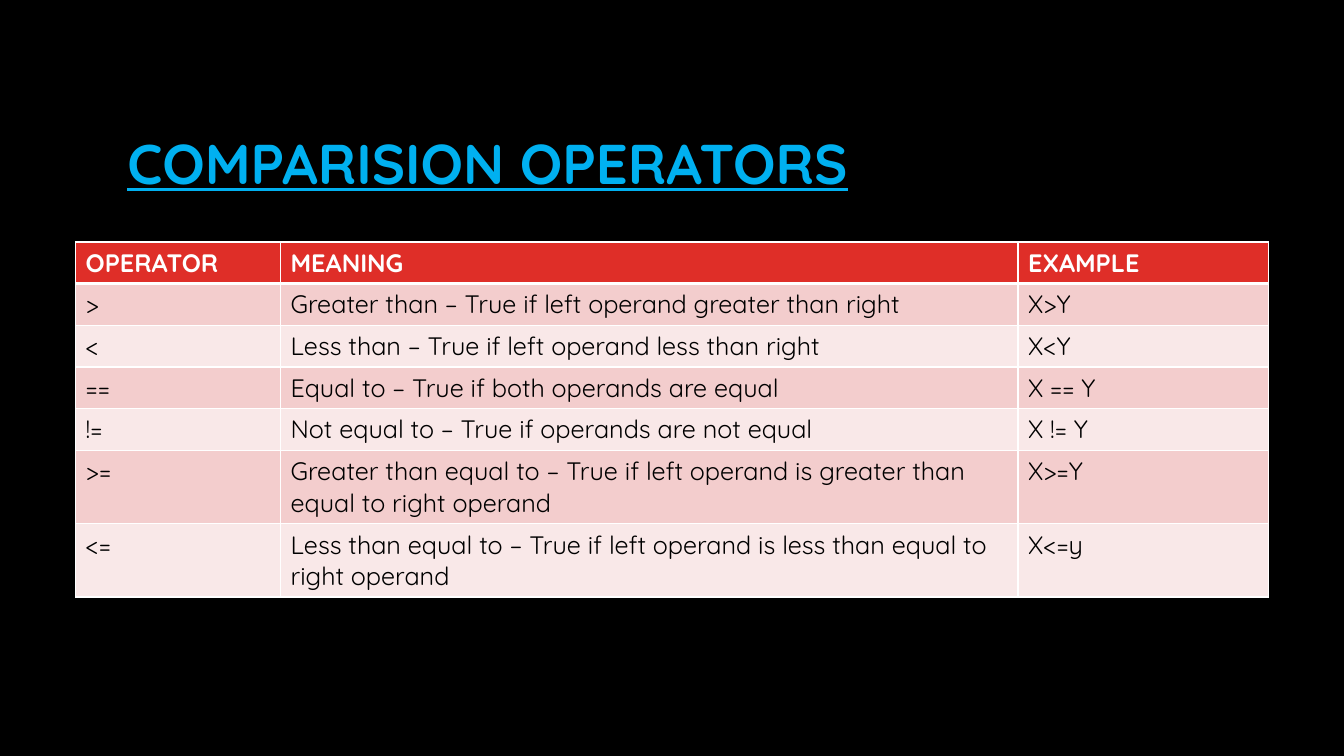
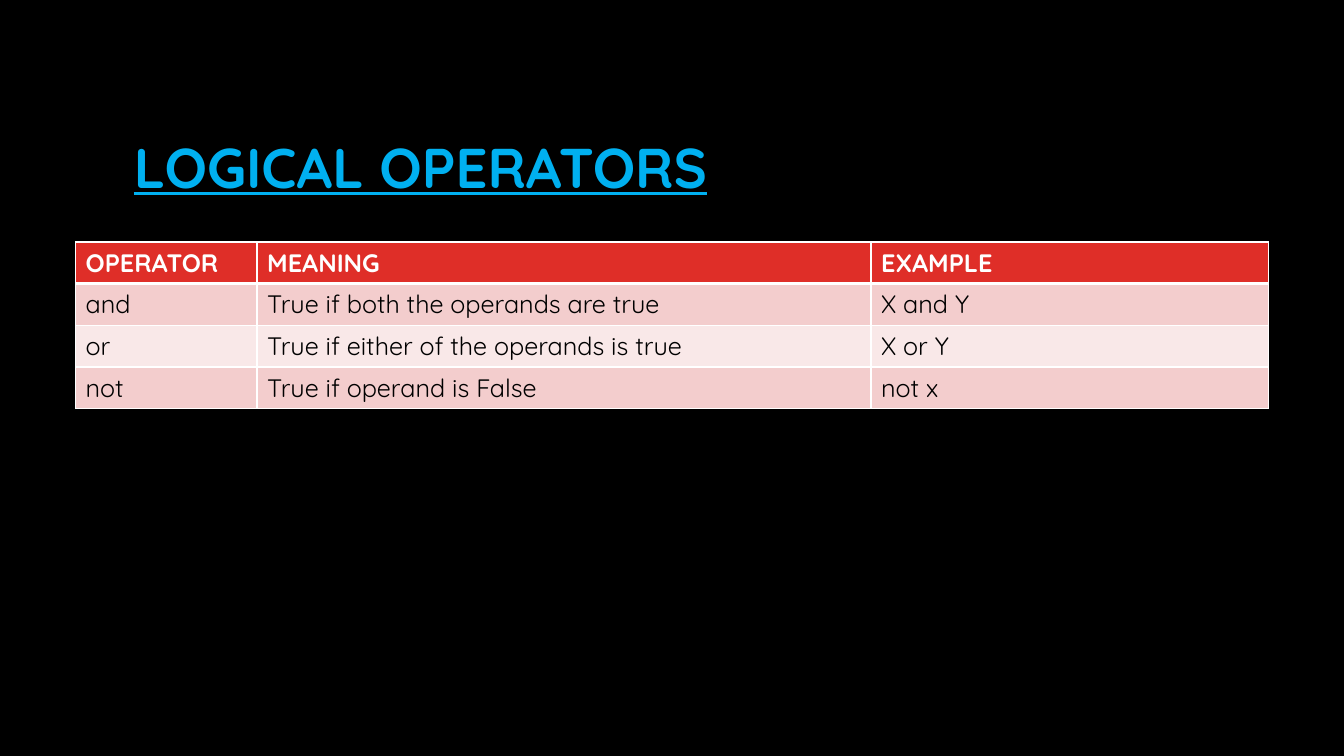
from dataclasses import dataclass

from lxml.etree import SubElement
from pptx import Presentation
from pptx.dml.color import RGBColor as Color
from pptx.enum.text import MSO_ANCHOR as Anchor, MSO_AUTO_SIZE as AutoSize, PP_ALIGN as Align
from pptx.oxml.ns import qn
from pptx.util import Inches, Pt


@dataclass(frozen=True)
class Theme:
    """Colours, type and measures that the slides share."""
    font: str = "Quicksand"
    title_size: int = 40
    table_size: int = 18
    backdrop: str = "000000"
    title: str = "00B0F0"
    header: str = "DF2E28"
    header_text: str = "FFFFFF"
    body_text: str = "000000"
    bands: tuple = ("F3CDCD", "F9E8E8")
    border: str = "FFFFFF"
    thin: int = 1
    thick: int = 3


def put_text(frame, text, *, font, size, color, bold=False, underline=False,
             align=Align.LEFT, spacing=1.0):
    """Write one formatted paragraph into a text frame."""
    para = frame.paragraphs[0]
    para.alignment = align
    para.line_spacing = spacing
    span = para.add_run()
    span.text = text
    span.font.name = font
    span.font.size = Pt(size)
    span.font.bold = bold
    span.font.underline = underline
    span.font.color.rgb = Color.from_string(color)


def set_border(cell, side, color, width):
    """Draw one side (L, R, T or B) of a table cell."""
    line = SubElement(cell._tc.get_or_add_tcPr(), qn(f"a:ln{side}"), w=str(Pt(width)))
    fill = SubElement(line, qn("a:solidFill"))
    SubElement(fill, qn("a:srgbClr"), val=color)


class SlideBuilder:
    """Build pages on a grid of 160 columns by 90 rows."""
    columns, rows = 160, 90
    margin = 9
    table_top = 28.8
    row_height = 4.87
    title_width, title_height = 113, 16.9

    def __init__(self, theme):
        """Open a wide deck with the theme's background."""
        self.theme = theme
        self.deck = Presentation()
        self.deck.slide_width = Inches(40 / 3)
        self.deck.slide_height = Inches(7.5)
        fill = self.deck.slide_master.background.fill
        fill.solid()
        fill.fore_color.rgb = Color.from_string(theme.backdrop)
        self.page = None

    def across(self, count):
        """Turn grid columns into a length."""
        return round(self.deck.slide_width * count / self.columns)

    def down(self, count):
        """Turn grid rows into a length."""
        return round(self.deck.slide_height * count / self.rows)

    def add_page(self):
        """Start a page with the title-only layout."""
        self.page = self.deck.slides.add_slide(self.deck.slide_layouts[5])

    def add_title(self, text, left, top):
        """Place the right-aligned, underlined title."""
        box = self.page.shapes.title
        box.left, box.top = self.across(left), self.down(top)
        box.width, box.height = self.across(self.title_width), self.down(self.title_height)
        frame = box.text_frame
        frame.word_wrap = True
        frame.auto_size = AutoSize.NONE
        frame.vertical_anchor = Anchor.MIDDLE
        put_text(frame, text, font=self.theme.font, size=self.theme.title_size,
                 color=self.theme.title, bold=True, underline=True,
                 align=Align.RIGHT, spacing=0.9)

    def add_table(self, records, widths):
        """Place a table with a header row and banded body rows."""
        table = self.page.shapes.add_table(
            len(records), len(widths), self.across(self.margin), self.down(self.table_top),
            self.across(sum(widths)), self.down(self.row_height * len(records))).table
        for column, width in zip(table.columns, widths):
            column.width = self.across(width)
        for index, (row, record) in enumerate(zip(table.rows, records)):
            row.height = self.down(self.row_height)
            for cell, text in zip(row.cells, record):
                self.fill_cell(cell, text, index)

    def fill_cell(self, cell, text, index):
        """Format one cell by the index of its row."""
        theme = self.theme
        is_header = index == 0
        for side in "LRTB" if is_header else "LRB":
            width = theme.thick if is_header and side == "B" else theme.thin
            set_border(cell, side, theme.border, width)
        cell.fill.solid()
        shade = theme.header if is_header else theme.bands[(index - 1) % 2]
        cell.fill.fore_color.rgb = Color.from_string(shade)
        put_text(cell.text_frame, text, font=theme.font, size=theme.table_size, bold=is_header,
                 color=theme.header_text if is_header else theme.body_text)


HEADER = ("OPERATOR", "MEANING", "EXAMPLE")
COMPARISONS = [
    (">", "Greater than – True if left operand greater than right", "X>Y"),
    ("<", "Less than – True if left operand less than right", "X<Y"),
    ("==", "Equal to – True if both operands are equal", "X == Y"),
    ("!=", "Not equal to – True if operands are not equal", "X != Y"),
    (">=", "Greater than equal to – True if left operand is greater than equal to right operand",
     "X>=Y"),
    ("<=", "Less than equal to – True if left operand is less than equal to right operand",
     "X<=y"),
]
LOGIC = [
    ("and", "True if both the operands are true", "X and Y"),
    ("or", "True if either of the operands is true", "X or Y"),
    ("not", "True if operand is False", "not x"),
]
PAGES = [
    ("COMPARISION OPERATORS", (-10.9, 11.3), COMPARISONS, (24.4, 87.8, 29.8)),
    ("LOGICAL OPERATORS", (-27.6, 11.8), LOGIC, (21.6, 73.1, 47.3)),
]


def main():
    """Build and save the deck."""
    builder = SlideBuilder(Theme())
    for title, corner, records, widths in PAGES:
        builder.add_page()
        builder.add_title(title, *corner)
        builder.add_table([HEADER, *records], widths)
    builder.deck.save("out.pptx")


if __name__ == "__main__":
    main()
